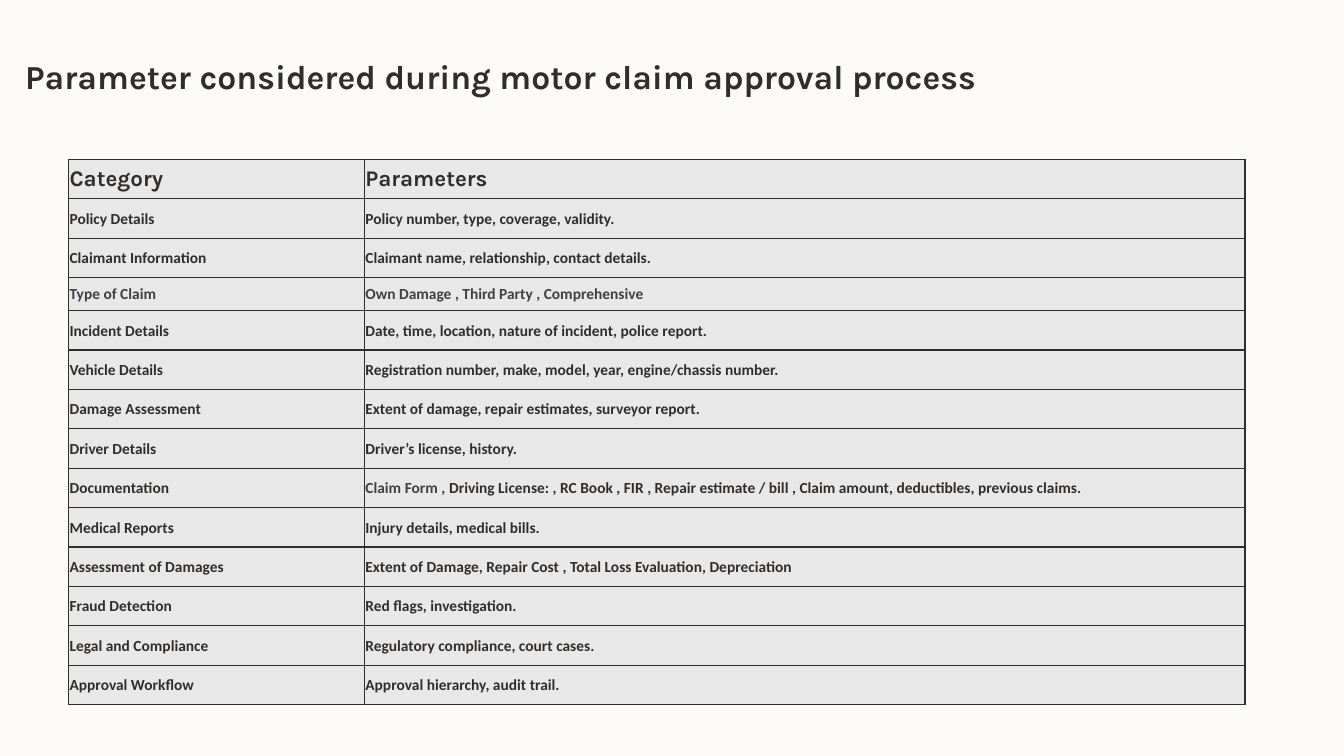
from dataclasses import dataclass

from lxml import etree
from pptx import Presentation
from pptx.dml.color import RGBColor
from pptx.enum.text import MSO_ANCHOR
from pptx.oxml.ns import qn
from pptx.util import Pt

MIDDLE, BOTTOM = MSO_ANCHOR.MIDDLE, MSO_ANCHOR.BOTTOM

TITLE = "Parameter considered during motor claim approval process"
HEADER = ("Category", "Parameters")
CLAIM_TYPE = "Type of Claim"
# A tuple of two texts is a muted lead followed by normal text.
ROWS = [
    ("Policy Details", "Policy number, type, coverage, validity."),
    ("Claimant Information", "Claimant name, relationship, contact details."),
    (CLAIM_TYPE, "Own Damage , Third Party , Comprehensive"),
    ("Incident Details", "Date, time, location, nature of incident, police report."),
    ("Vehicle Details", "Registration number, make, model, year, engine/chassis number."),
    ("Damage Assessment", "Extent of damage, repair estimates, surveyor report."),
    ("Driver Details", "Driver’s license, history."),
    ("Documentation", (
        "Claim Form ,",
        " Driving License: , RC Book , FIR , Repair estimate / bill , "
        "Claim amount, deductibles, previous claims.",
    )),
    ("Medical Reports", "Injury details, medical bills."),
    ("Assessment of Damages", "Extent of Damage, Repair Cost , Total Loss Evaluation, Depreciation"),
    ("Fraud Detection", "Red flags, investigation."),
    ("Legal and Compliance", "Regulatory compliance, court cases."),
    ("Approval Workflow", "Approval hierarchy, audit trail."),
]


@dataclass(frozen=True)
class Theme:
    background: str = "FCFBFA"
    ink: str = "312D2A"
    muted: str = "404040"
    cell: str = "E8E8E8"
    heading_font: str = "Karla"
    body_font: str = "Calibri"
    title_size: int = 24
    header_size: int = 16
    body_size: int = 11


THEME = Theme()
PAGE_SIZE = (960, 540)
TITLE_BOX = (18, 24, 803.5, 45.4)
TABLE_LEFT, TABLE_TOP = 49, 113.8
COLUMN_WIDTHS = (211.3, 629)
ROW_HEIGHT, CLAIM_TYPE_HEIGHT = 28.15, 23.6
CELL_MARGIN = 0.7
BORDER_WIDTH = 1


def set_font(font, name, size, color):
    font.name, font.size, font.bold = name, Pt(size), True
    font.color.rgb = RGBColor.from_string(color)


def add_title(page):
    frame = page.shapes.add_textbox(*map(Pt, TITLE_BOX)).text_frame
    frame.word_wrap = True
    frame.vertical_anchor = BOTTOM
    frame.margin_left = frame.margin_right = frame.margin_top = frame.margin_bottom = 0
    para = frame.paragraphs[0]
    para.text = TITLE
    para.line_spacing = 0.95
    set_font(para.font, THEME.heading_font, THEME.title_size, THEME.ink)


def add_borders(cell):
    """Put the four lines before the fill, as the cell schema requires."""
    properties = cell._tc.get_or_add_tcPr()
    for position, side in enumerate(("lnL", "lnR", "lnT", "lnB")):
        line = etree.Element(qn(f"a:{side}"), w=str(Pt(BORDER_WIDTH)))
        fill = etree.SubElement(line, qn("a:solidFill"))
        etree.SubElement(fill, qn("a:srgbClr"), val=THEME.ink)
        properties.insert(position, line)


def fill_cell(cell, content, font_name, size, color):
    cell.vertical_anchor = MIDDLE
    cell.margin_left = cell.margin_right = cell.margin_top = Pt(CELL_MARGIN)
    cell.margin_bottom = 0
    cell.fill.solid()
    cell.fill.fore_color.rgb = RGBColor.from_string(THEME.cell)
    add_borders(cell)
    para = cell.text_frame.paragraphs[0]
    set_font(para.font, font_name, size, color)
    if isinstance(content, str):
        para.text = content
        return
    for text, span_color in zip(content, (THEME.muted, THEME.ink)):
        span = para.add_run()
        span.text = text
        span.font.color.rgb = RGBColor.from_string(span_color)


def add_parameter_table(page):
    rows = [HEADER, *ROWS]
    heights = [CLAIM_TYPE_HEIGHT if row[0] == CLAIM_TYPE else ROW_HEIGHT for row in rows]
    table = page.shapes.add_table(
        len(rows), len(COLUMN_WIDTHS), Pt(TABLE_LEFT), Pt(TABLE_TOP),
        Pt(sum(COLUMN_WIDTHS)), Pt(sum(heights)),
    ).table
    table.horz_banding = False
    for column, width in zip(table.columns, COLUMN_WIDTHS):
        column.width = Pt(width)
    for row_index, (row, height) in enumerate(zip(rows, heights)):
        table.rows[row_index].height = Pt(height)
        if row is HEADER:
            style = (THEME.heading_font, THEME.header_size, THEME.ink)
        else:
            color = THEME.muted if row[0] == CLAIM_TYPE else THEME.ink
            style = (THEME.body_font, THEME.body_size, color)
        for column_index, content in enumerate(row):
            fill_cell(table.cell(row_index, column_index), content, *style)


def main():
    deck = Presentation()
    deck.slide_width, deck.slide_height = map(Pt, PAGE_SIZE)
    page = deck.slides.add_slide(deck.slide_layouts[6])
    page.background.fill.solid()
    page.background.fill.fore_color.rgb = RGBColor.from_string(THEME.background)
    add_title(page)
    add_parameter_table(page)
    deck.save("out.pptx")


if __name__ == "__main__":
    main()
